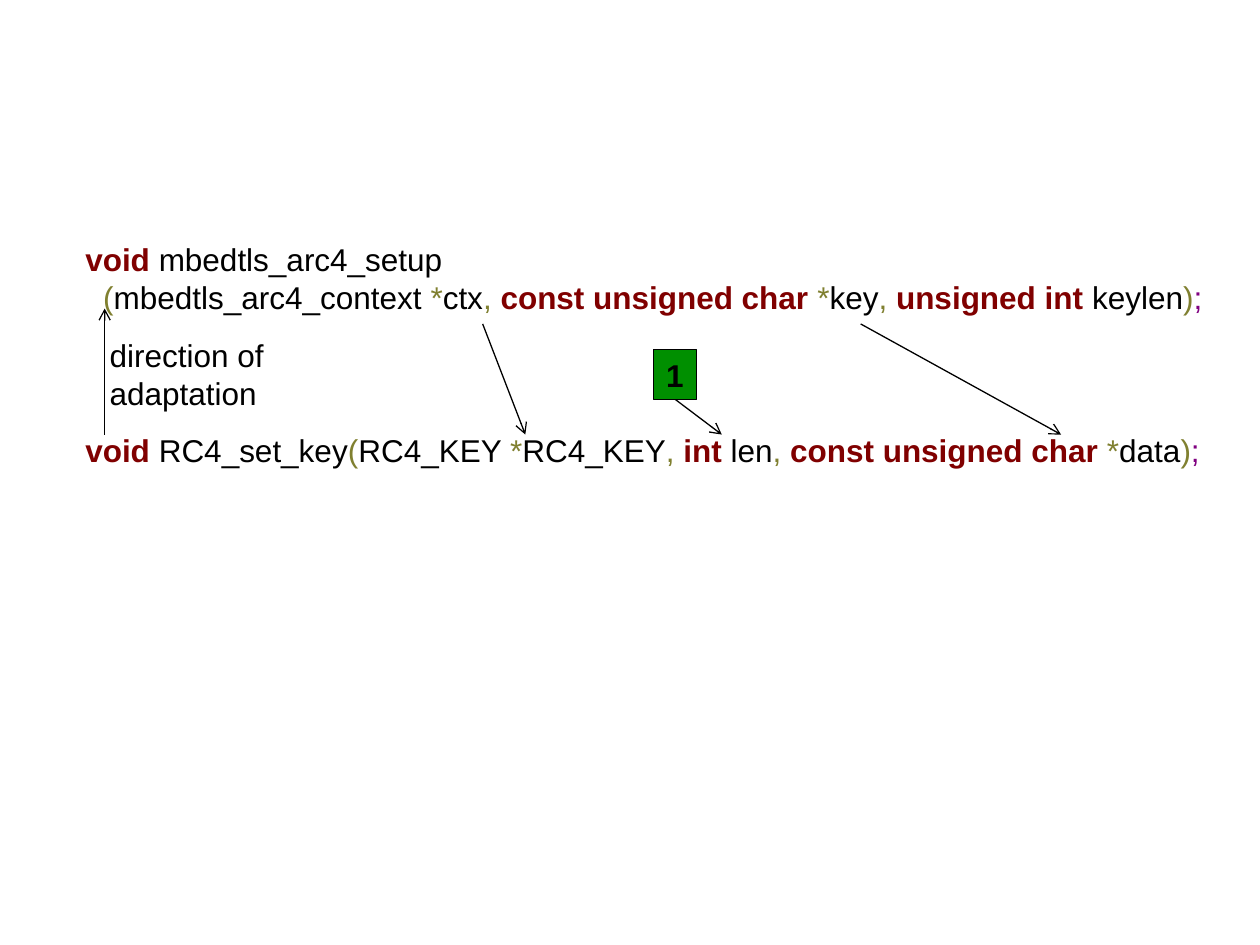
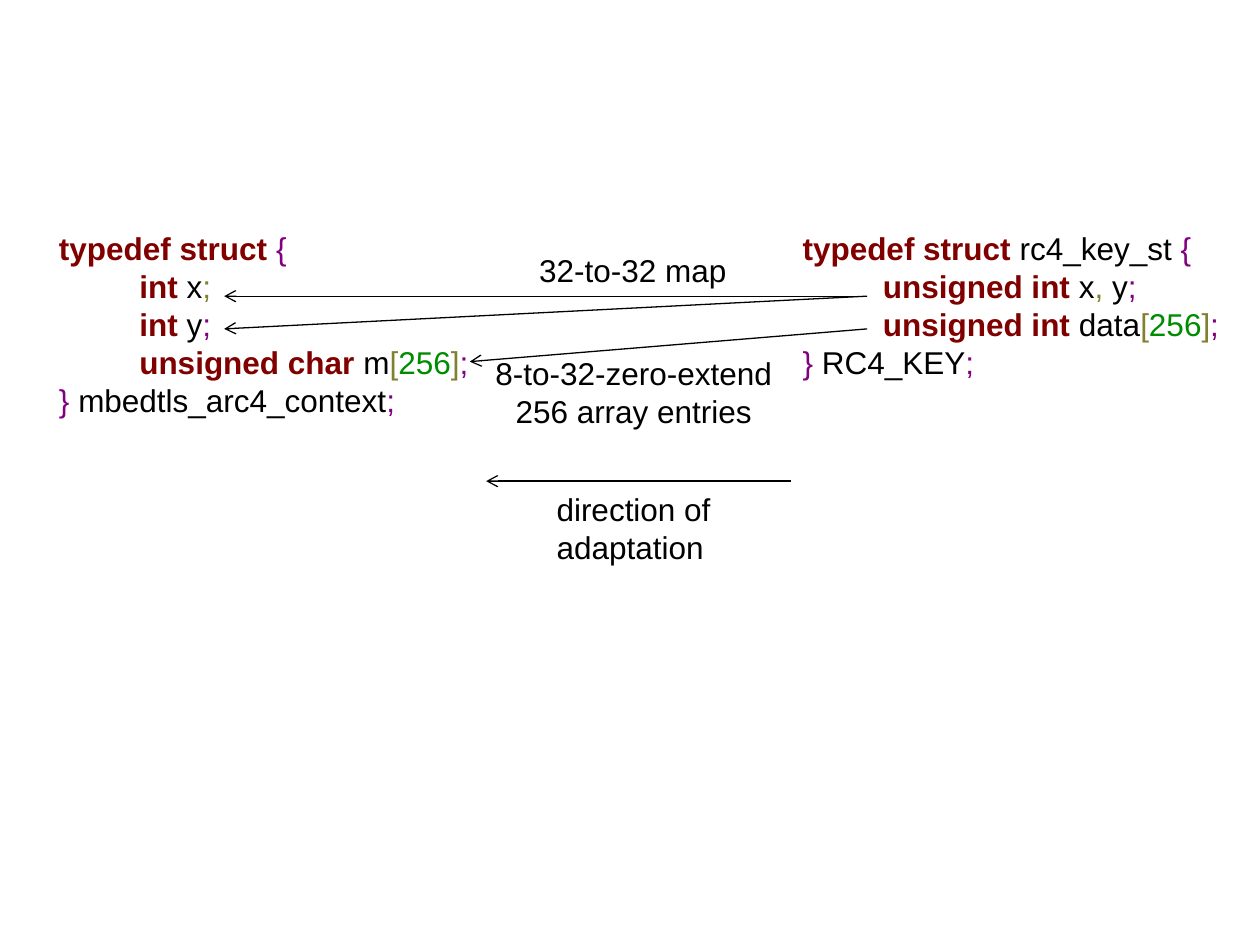
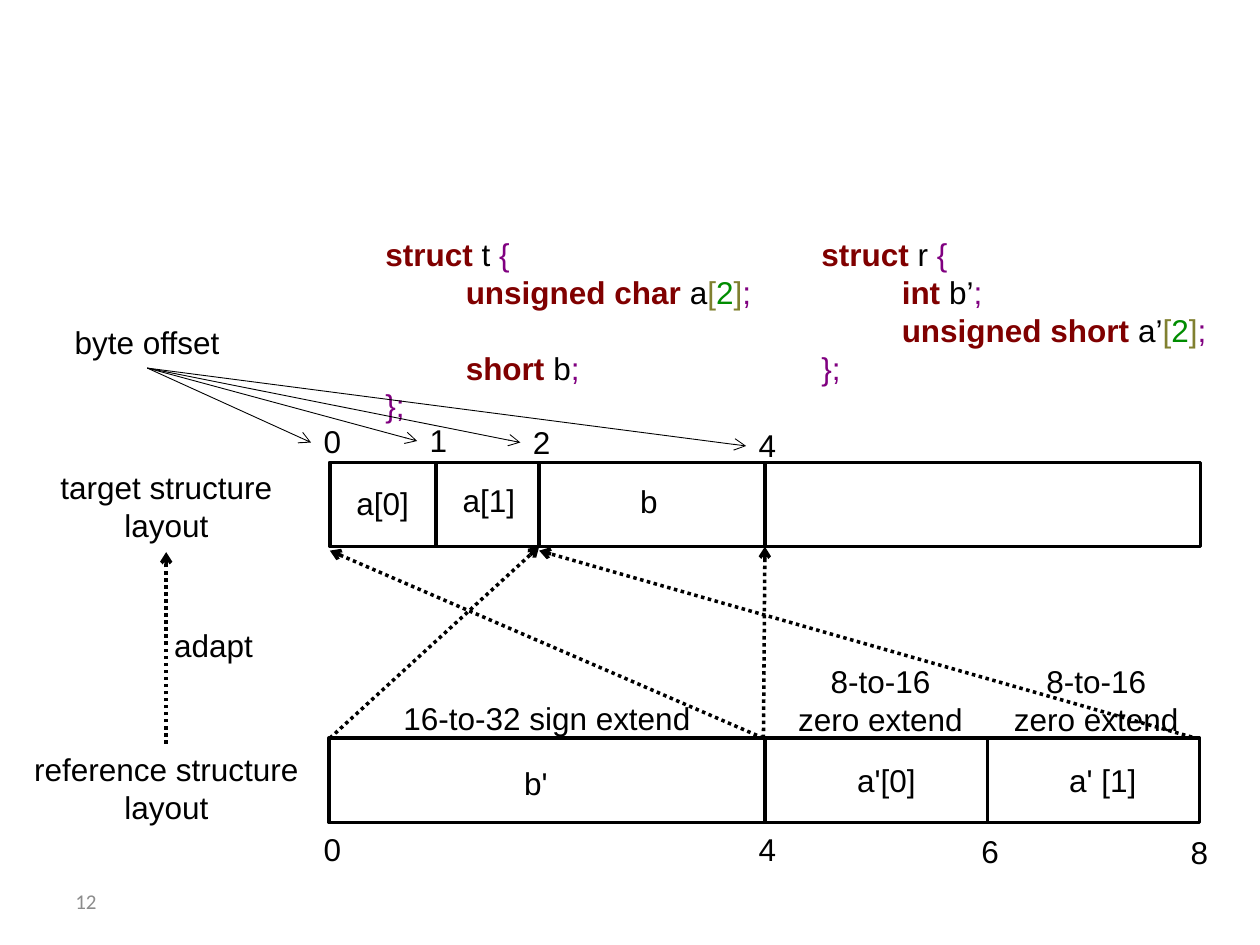
from itertools import groupby

from lxml import etree
from pptx import Presentation
from pptx.dml.color import RGBColor
from pptx.enum.dml import MSO_LINE
from pptx.enum.shapes import MSO_CONNECTOR, MSO_SHAPE
from pptx.enum.text import MSO_ANCHOR, MSO_AUTO_SIZE, PP_ALIGN
from pptx.oxml.ns import qn
from pptx.util import Cm, Pt

BLACK = RGBColor(0, 0, 0)
WHITE = RGBColor(0xFF, 0xFF, 0xFF)
GRAY = RGBColor(0x8C, 0x8C, 0x8C)
MAROON = RGBColor(0x80, 0, 0)
OLIVE = RGBColor(0x80, 0x80, 0x30)
PURPLE = RGBColor(0x80, 0, 0x80)
GREEN = RGBColor(0, 0x8C, 0)
BADGE = RGBColor(0, 0x8F, 0)

WORDS = "void const unsigned char int short struct typedef".split()
SHADES = {**dict.fromkeys(WORDS, MAROON),
          **dict.fromkeys("()[]*,", OLIVE),
          **dict.fromkeys("{};", PURPLE)}
TAB = Cm(1.62)

LEFT, CENTER = PP_ALIGN.LEFT, PP_ALIGN.CENTER
STRAIGHT, RECT = MSO_CONNECTOR.STRAIGHT, MSO_SHAPE.RECTANGLE
DOTS = MSO_LINE.ROUND_DOT
FIT, FIXED = MSO_AUTO_SIZE.SHAPE_TO_FIT_TEXT, MSO_AUTO_SIZE.NONE
MIDDLE = MSO_ANCHOR.MIDDLE


def write(slide, text, left, top, width, align=LEFT, code=False):
    """Add a text box as high as its lines; code gets tab stops and colours."""
    high = 0.25 + 0.77 * len(text.split("\n"))
    box = slide.shapes.add_textbox(Cm(left), Cm(top), Cm(width), Cm(high))
    frame = box.text_frame
    frame.word_wrap = False
    frame.auto_size = FIT
    frame.text = text
    for para in frame.paragraphs:
        para.alignment = align
        if code:
            line = para.text
            para.clear()
            stops = etree.SubElement(para._p.get_or_add_pPr(), qn("a:tabLst"))
            etree.SubElement(stops, qn("a:tab"), pos=str(TAB), algn="l")
            last = None
            for _, group in groupby(
                    line, lambda ch: ch.isalnum() or ch in "_’" or ch):
                word = "".join(group)
                shade = GREEN if word.isdigit() else SHADES.get(word, BLACK)
                if para.runs and (word.isspace() or shade == last):
                    para.runs[-1].text += word
                    continue
                run = para.add_run()
                run.text = word
                run.font.color.rgb = last = shade
                run.font.bold = shade == MAROON
        for run in para.runs:
            run.font.name = "Arial"
            run.font.size = Pt(18)
            if not code:
                run.font.color.rgb = BLACK
    return frame


def link(slide, start, end, weight=0.75, dash=None, arrow=True):
    line = slide.shapes.add_connector(
        STRAIGHT, *[Cm(value) for value in (*start, *end)])
    line.line.color.rgb = BLACK
    line.line.width = Pt(weight)
    if dash:
        line.line.dash_style = dash
    if arrow:
        etree.SubElement(line.line._get_or_add_ln(), qn("a:tailEnd"),
                         type="arrow")
    etree.SubElement(line._element.spPr, qn("a:effectLst"))


deck = Presentation()
deck.slide_width, deck.slide_height = Cm(25.4), Cm(19.05)
calls, types, bytemap = [
    deck.slides.add_slide(deck.slide_layouts[6]) for _ in range(3)]

# Function signatures
setup = write(calls, "void mbedtls_arc4_setup\n(mbedtls_arc4_context *ctx, "
              "const unsigned char *key, unsigned int keylen);",
              1.47, 4.72, 23.5, code=True)
setup.word_wrap = True
inset = setup.paragraphs[1]._p.get_or_add_pPr()
inset.set("marL", str(Cm(0.36)))
inset.set("indent", "0")
write(calls, "void RC4_set_key(RC4_KEY *RC4_KEY, int len, "
      "const unsigned char *data);", 1.47, 8.56, 23.11, code=True)
for start, end in [((9.73, 6.53), (10.59, 8.76)),
                   ((2.11, 8.76), (2.11, 6.22)),
                   ((17.35, 6.53), (21.39, 8.76)),
                   ((13.61, 8.05), (14.55, 8.76))]:
    link(calls, start, end)
badge = calls.shapes.add_shape(RECT, Cm(13.18), Cm(7.04), Cm(0.86), Cm(1.02))
badge.shadow.inherit = False
badge.fill.solid()
badge.fill.fore_color.rgb = BADGE
badge.line.color.rgb = BLACK
badge.line.width = Pt(0.75)
badge.text_frame.text = "1"
badge.text_frame.word_wrap = False
font = badge.text_frame.paragraphs[0].runs[0].font
font.name, font.size, font.bold = "Arial", Pt(18), True
font.color.rgb = BLACK
write(calls, "direction of\nadaptation", 1.96, 6.65, 3.68)

# Structure types
write(types, "typedef struct rc4_key_st {\n\tunsigned int x, y;\n"
      "\tunsigned int data[256];\n} RC4_KEY;", 15.93, 4.5, 8.99, code=True)
context = write(types, "typedef struct {\n\tint x;\n\tint y;\n"
                "\tunsigned char m[256];\n} mbedtls_arc4_context;",
                0.94, 4.5, 8.84, code=True)
context.paragraphs[1].runs[-1].font.color.rgb = OLIVE
for start, end in [((17.48, 5.97), (4.52, 5.97)),
                   ((17.48, 5.97), (4.52, 6.63)),
                   ((17.48, 6.63), (9.47, 7.29)),
                   ((15.95, 9.7), (9.8, 9.7))]:
    link(types, start, end)
write(types, "8-to-32-zero-extend\n256 array entries", 9.7, 7.01, 6.15, CENTER)
write(types, "32-to-32 map", 10.62, 4.93, 4.32)
write(types, "direction of\nadaptation", 10.97, 9.75, 3.68)

# Byte layouts
page = write(bytemap, "12", 1.27, 17.65, 5.92)
page.word_wrap = True
page.auto_size = FIXED
page.vertical_anchor = MIDDLE
font = page.paragraphs[0].runs[0].font
font.name, font.size = "Calibri", Pt(12)
font.color.rgb = GRAY

TALL = 1.7
for left, top, cuts in [(6.65, 9.32, (8.79, 10.87, 15.42)),
                        (6.63, 14.88, (15.42, 19.91))]:
    bar = bytemap.shapes.add_shape(RECT, Cm(left), Cm(top), Cm(17.55), Cm(TALL))
    bar.shadow.inherit = False
    bar.fill.solid()
    bar.fill.fore_color.rgb = WHITE
    bar.line.color.rgb = BLACK
    bar.line.width = Pt(2)
    for cut in cuts:
        link(bytemap, (cut, top), (cut, top + TALL), 2, arrow=False)

for start, end in [((6.65, 14.88), (10.87, 11.02)),
                   ((15.39, 14.88), (6.65, 11.1)),
                   ((24.03, 14.86), (10.87, 11.1)),
                   ((3.35, 14.99), (3.35, 11.13)),
                   ((15.39, 14.88), (15.42, 11.02))]:
    link(bytemap, start, end, 2, DOTS)

for text, left, top, width in [
        ("a[0]", 6.93, 9.63, 1.57),
        ("a[1]", 9.07, 9.58, 1.57),
        ("b", 12.65, 9.6, 0.86),
        ("bʹ", 10.31, 15.27, 0.99),
        ("aʹ[0]", 17.02, 15.21, 1.7),
        ("aʹ [1]", 21.29, 15.21, 1.88),
        ("0", 6.27, 8.38, 0.86),
        ("1", 8.41, 8.36, 0.86),
        ("2", 10.49, 8.41, 0.86),
        ("4", 15.04, 8.46, 0.86),
        ("0", 6.27, 16.61, 0.86),
        ("4", 15.04, 16.61, 0.86),
        ("6", 19.53, 16.64, 0.86),
        ("8", 23.75, 16.66, 0.86),
        ("16-to-32 sign extend", 7.85, 13.97, 6.35),
        ("8-to-16\nzero extend", 15.82, 13.23, 3.86),
        ("8-to-16\nzero extend", 20.17, 13.23, 3.86),
        ("target structure\nlayout", 0.94, 9.32, 4.83),
        ("reference structure\nlayout", 0.41, 14.99, 5.89),
        ("adapt", 3.25, 12.5, 2.11),
        ("byte offset", 1.24, 6.38, 3.45)]:
    write(bytemap, text, left, top, width, CENTER)

target = write(bytemap, "struct t {\n\tunsigned char a[2];\n\tshort b;\n};",
               7.52, 4.62, 7.95, code=True)
target.paragraphs[2].space_before = Cm(0.76)
write(bytemap, "struct r {\n\tint b’;\n\tunsigned short a’[2];\n};",
      16.31, 4.62, 8.51, code=True)
for end in [(6.27, 8.92), (8.41, 8.89), (10.49, 8.92), (15.04, 8.99)]:
    link(bytemap, (2.97, 7.42), end, 0.5)

deck.save("out.pptx")
